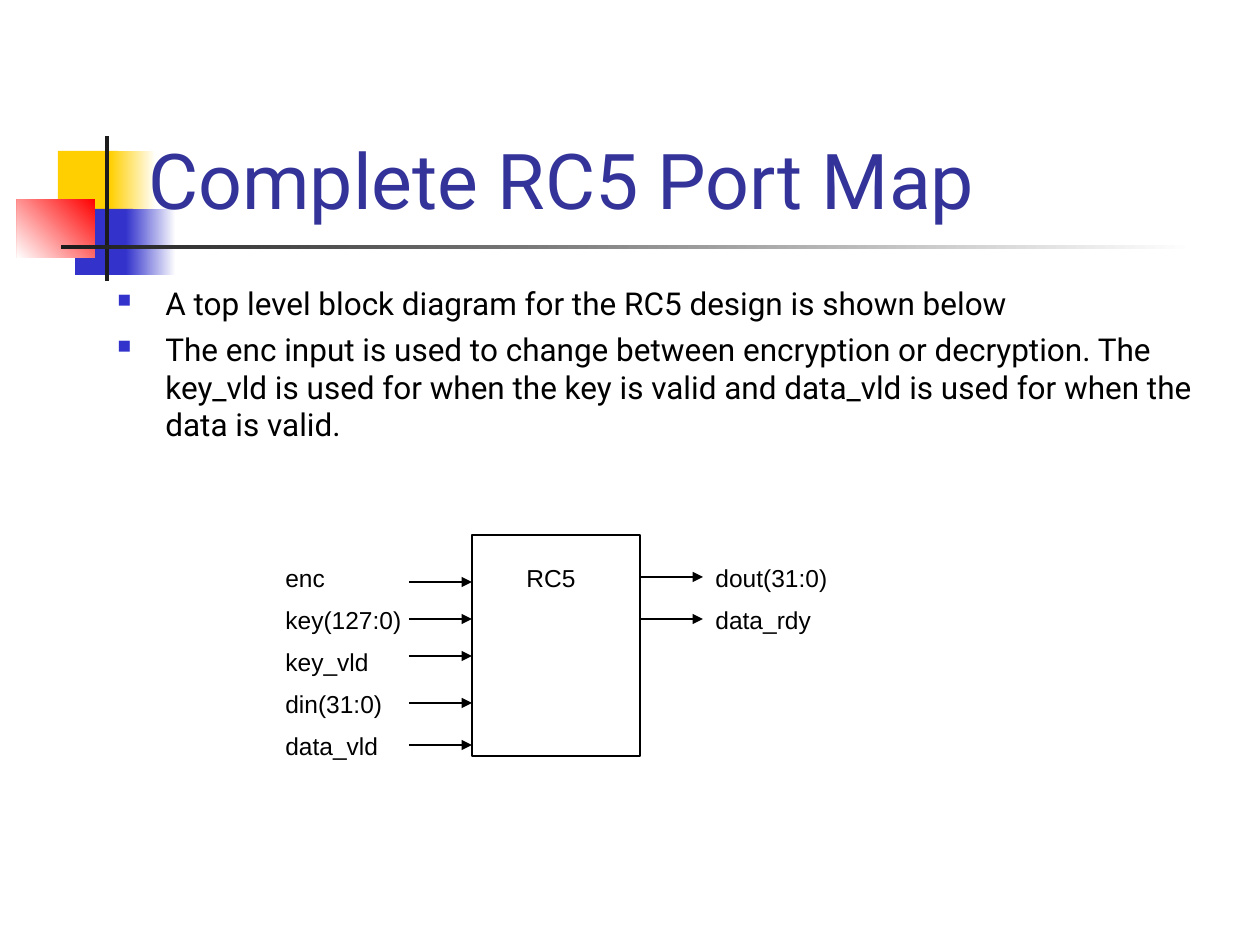
from pptx import Presentation
from pptx.util import Emu, Pt
from pptx.dml.color import RGBColor
from pptx.enum.shapes import MSO_SHAPE as SHAPE, MSO_CONNECTOR as LINK
from pptx.enum.text import MSO_ANCHOR as ANCHOR, MSO_AUTO_SIZE as FIT, PP_ALIGN as ALIGN
from pptx.oxml import parse_xml
from pptx.oxml.ns import nsdecls

WHITE = RGBColor(0xFF, 0xFF, 0xFF)
BLACK = RGBColor(0, 0, 0)
GOLD = RGBColor(0xFF, 0xCF, 0x01)
BLUE = RGBColor(0x33, 0x33, 0xCC)
RED = RGBColor(0xFF, 0, 0)
DARK = RGBColor(0x1C, 0x1C, 0x1C)
NAVY = RGBColor(0x33, 0x33, 0x99)
SCALE = 914400 / 126


def px(*nums):
    return [Emu(round(n * SCALE)) for n in nums]


def write(para, text, size, font, color):
    run = para.add_run()
    run.text = text
    run.font.size = Pt(size)
    run.font.name = font
    run.font.color.rgb = color


deck = Presentation()
deck.slide_width, deck.slide_height = px(1260, 945)
slide = deck.slides.add_slide(deck.slide_layouts[5])
shapes = slide.shapes

# Corner ornament and rule: box, colour, fade angle (None is solid)
for box, color, angle in [
    ((58, 151, 60, 66), GOLD, None),
    ((110, 151, 46, 66), GOLD, 0),
    ((75, 209, 58, 66), BLUE, None),
    ((126, 209, 50, 66), BLUE, 0),
    ((17, 199, 78, 59), RED, 225),
    ((105, 136, 4, 145), DARK, None),
    ((61, 245, 1134, 4), DARK, 0),
]:
    block = shapes.add_shape(SHAPE.RECTANGLE, *px(*box))
    block.shadow.inherit = False
    block.line.fill.background()
    if angle is None:
        block.fill.solid()
        block.fill.fore_color.rgb = color
    else:
        block.fill.gradient()
        block.fill.gradient_angle = angle
        for stop, tint in zip(block.fill.gradient_stops, (color, WHITE)):
            stop.color.rgb = tint

# Title, brought in front of the ornament
title = shapes.title
title.left, title.top, title.width, title.height = px(136, 105, 871, 126)
shapes._spTree.append(title._element)
frame = title.text_frame
frame.auto_size = FIT.NONE
frame.vertical_anchor = ANCHOR.BOTTOM
frame.paragraphs[0].alignment = ALIGN.LEFT
write(frame.paragraphs[0], "Complete RC5 Port Map", 44, "Roboto", NAVY)

# Bullets
frame = shapes.add_textbox(*px(105, 278, 1134, 237)).text_frame
frame.word_wrap = True
for i, text in enumerate([
    "A top level block diagram for the RC5 design is shown below",
    "The enc input is used to change between encryption or decryption. "
    "The key_vld is used for when the key is valid and data_vld is used "
    "for when the data is valid.",
]):
    para = frame.paragraphs[0] if i == 0 else frame.add_paragraph()
    para.space_before = Pt(4.5)
    props = para._p.get_or_add_pPr()
    indent = px(48)[0]
    props.set("marL", str(indent))
    props.set("indent", str(-indent))
    for mark in (
        f'<a:buClr {nsdecls("a")}><a:srgbClr val="{BLUE}"/></a:buClr>',
        f'<a:buSzPct {nsdecls("a")} val="60000"/>',
        f'<a:buChar {nsdecls("a")} char="■"/>',
    ):
        props.append(parse_xml(mark))
    write(para, text, 18, "Roboto", BLACK)

# RC5 block
block = shapes.add_shape(SHAPE.RECTANGLE, *px(472, 535, 168, 221))
block.shadow.inherit = False
block.fill.background()
block.line.color.rgb = BLACK
block.line.width = Pt(0.75)

# Labels, one row every 42 px
inputs = ["enc", "key(127:0)", "key_vld", "din(31:0)", "data_vld"]
outputs = ["dout(31:0)", "data_rdy"]
for left, width, names in [(273, 179, inputs), (514, 136, ["RC5"]), (703, 210, outputs)]:
    for row, name in enumerate(names):
        label = shapes.add_textbox(*px(left, 557 + 42 * row, width, 42))
        label.text_frame.word_wrap = True
        write(label.text_frame.paragraphs[0], name, 14, "Arial", BLACK)

# Port arrows
for start, end, levels in [(409, 472, (582, 619, 656, 703, 745)), (640, 703, (577, 619))]:
    for y in levels:
        arrow = shapes.add_connector(LINK.STRAIGHT, *px(start, y, end, y))
        arrow.line.color.rgb = BLACK
        arrow.line.width = Pt(0.75)
        arrow.line._get_or_add_ln().append(
            parse_xml(f'<a:tailEnd {nsdecls("a")} type="triangle"/>'))
        arrow._element.spPr.append(parse_xml(f'<a:effectLst {nsdecls("a")}/>'))

deck.save("out.pptx")
